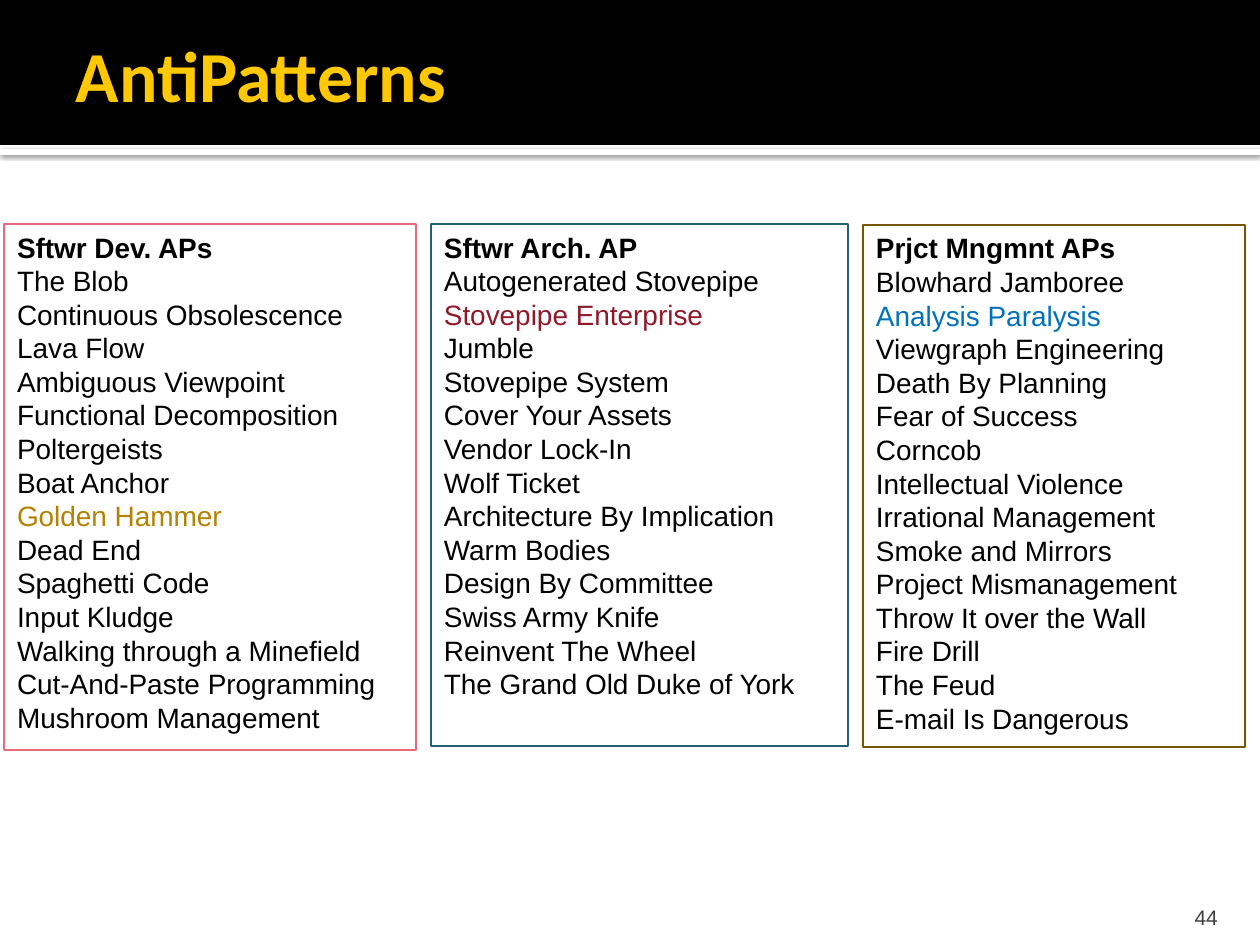
"""Build the AntiPatterns slide with three bordered lists under a title band."""
from lxml import etree
from pptx import Presentation
from pptx.dml.color import RGBColor
from pptx.enum.shapes import MSO_SHAPE
from pptx.enum.text import MSO_ANCHOR, MSO_AUTO_SIZE, PP_ALIGN
from pptx.oxml.ns import qn
from pptx.util import Emu, Pt

RECTANGLE = MSO_SHAPE.RECTANGLE
TOP, MIDDLE, BOTTOM = MSO_ANCHOR.TOP, MSO_ANCHOR.MIDDLE, MSO_ANCHOR.BOTTOM
LEFT, RIGHT = PP_ALIGN.LEFT, PP_ALIGN.RIGHT
NO_AUTOFIT = MSO_AUTO_SIZE.NONE

BLACK = RGBColor(0x00, 0x00, 0x00)
WHITE = RGBColor(0xFF, 0xFF, 0xFF)
GREY = RGBColor(0x3F, 0x3F, 0x3F)
YELLOW = RGBColor(0xFF, 0xC8, 0x00)
PINK = RGBColor(0xE6, 0x6C, 0x7D)
TEAL = RGBColor(0x24, 0x61, 0x72)
BROWN = RGBColor(0x78, 0x56, 0x00)
GOLD = RGBColor(0xB4, 0x82, 0x00)
CRIMSON = RGBColor(0x90, 0x19, 0x29)
BLUE = RGBColor(0x00, 0x70, 0xC0)

EMU_PER_PX = 914400 / 126

DEVELOPMENT = [
    "Sftwr Dev. APs", "The Blob", "Continuous Obsolescence", "Lava Flow",
    "Ambiguous Viewpoint", "Functional Decomposition", "Poltergeists",
    "Boat Anchor", "Golden Hammer", "Dead End", "Spaghetti Code",
    "Input Kludge", "Walking through a Minefield",
    "Cut-And-Paste Programming", "Mushroom Management",
]
ARCHITECTURE = [
    "Sftwr Arch. AP", "Autogenerated Stovepipe", "Stovepipe Enterprise",
    "Jumble", "Stovepipe System", "Cover Your Assets", "Vendor Lock-In",
    "Wolf Ticket", "Architecture By Implication", "Warm Bodies",
    "Design By Committee", "Swiss Army Knife", "Reinvent The Wheel",
    "The Grand Old Duke of York",
]
MANAGEMENT = [
    "Prjct Mngmnt APs", "Blowhard Jamboree", "Analysis Paralysis",
    "Viewgraph Engineering", "Death By Planning", "Fear of Success",
    "Corncob", "Intellectual Violence", "Irrational Management",
    "Smoke and Mirrors", "Project Mismanagement", "Throw It over the Wall",
    "Fire Drill", "The Feud", "E-mail Is Dangerous",
]
HIGHLIGHTS = {
    "Golden Hammer": GOLD,
    "Stovepipe Enterprise": CRIMSON,
    "Analysis Paralysis": BLUE,
}
LISTS = [
    ((4, 224, 412, 526), PINK, DEVELOPMENT),
    ((431, 224, 417, 522), TEAL, ARCHITECTURE),
    ((863, 225, 382, 522), BROWN, MANAGEMENT),
]


def px(*lengths):
    return [Emu(round(length * EMU_PER_PX)) for length in lengths]


def apply(target, values):
    for name, value in values.items():
        setattr(target, name, value)


class SlideBuilder:
    title_font = {"name": "Calibri", "size": Pt(41), "bold": True}
    list_font = {"name": "Arial", "size": Pt(16)}
    number_font = {"name": "Arial", "size": Pt(12)}

    def __init__(self, slide):
        self.slide = slide

    def add_text(self, paragraph, text, font, color, align=LEFT):
        paragraph.alignment = align
        run = paragraph.add_run()
        run.text = text
        apply(run.font, font)
        run.font.color.rgb = color

    def frame(self, shape, anchor, right=13, bottom=6):
        sides = ("margin_left", "margin_top", "margin_right", "margin_bottom")
        frame = shape.text_frame
        apply(frame, dict(zip(sides, px(13, 6, right, bottom))))
        apply(frame, {"word_wrap": True, "auto_size": NO_AUTOFIT,
                      "vertical_anchor": anchor})
        return frame

    def band(self, box, color):
        band = self.slide.shapes.add_shape(RECTANGLE, *px(*box))
        band.fill.solid()
        band.fill.fore_color.rgb = color
        band.line.fill.background()
        band.shadow.inherit = False
        return band

    def drop_shadow(self, shape):
        effects = shape.element.spPr.find(qn("a:effectLst"))
        shadow = etree.SubElement(
            effects, qn("a:outerShdw"), blurRad=str(Pt(2.5)),
            dist=str(Pt(0.8)), dir="5400000", algn="t", rotWithShape="0")
        tint = etree.SubElement(shadow, qn("a:srgbClr"), val=str(BLACK))
        etree.SubElement(tint, qn("a:alpha"), val="60000")

    def title(self, box, text):
        title = self.slide.shapes.title
        apply(title, dict(zip(("left", "top", "width", "height"), px(*box))))
        frame = self.frame(title, MIDDLE, right=6)
        self.add_text(frame.paragraphs[0], text, self.title_font, YELLOW)
        title.element.getparent().append(title.element)

    def page_number(self, box, text):
        number = self.slide.shapes.add_textbox(*px(*box))
        frame = self.frame(number, BOTTOM, bottom=0)
        self.add_text(frame.paragraphs[0], text, self.number_font, GREY, RIGHT)

    def pattern_list(self, box, border, patterns):
        panel = self.slide.shapes.add_shape(RECTANGLE, *px(*box))
        panel.fill.background()
        panel.line.color.rgb = border
        panel.line.width = Pt(0.75)
        panel.shadow.inherit = False
        frame = self.frame(panel, TOP)
        for index, pattern in enumerate(patterns):
            paragraph = frame.add_paragraph() if index else frame.paragraphs[0]
            font = {**self.list_font, "bold": index == 0}
            color = HIGHLIGHTS.get(pattern, BLACK)
            self.add_text(paragraph, pattern, font, color)


def main():
    deck = Presentation()
    deck.slide_width, deck.slide_height = px(1260, 945)
    builder = SlideBuilder(deck.slides.add_slide(deck.slide_layouts[5]))
    builder.drop_shadow(builder.band((0, 149, 1260, 6), WHITE))
    builder.band((0, 0, 1260, 145), BLACK)
    builder.page_number((1130, 892, 101, 38), "44")
    for box, border, patterns in LISTS:
        builder.pattern_list(box, border, patterns)
    builder.title((63, 21, 1134, 105), "AntiPatterns")
    deck.save("out.pptx")


if __name__ == "__main__":
    main()
